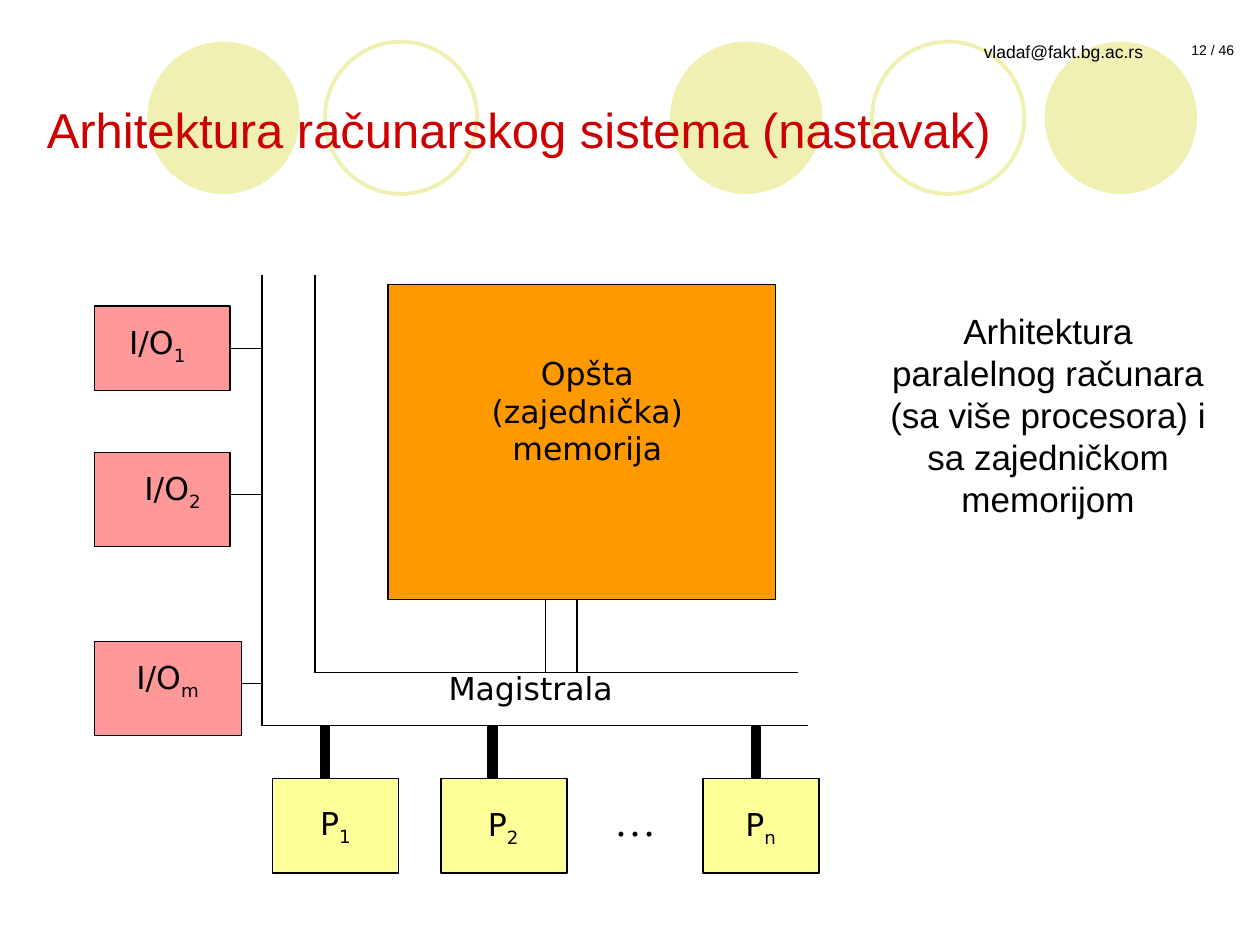
from lxml.etree import SubElement
from pptx import Presentation
from pptx.dml.color import RGBColor
from pptx.enum.shapes import MSO_CONNECTOR as Link, MSO_SHAPE as Preset
from pptx.enum.text import MSO_ANCHOR as Anchor, MSO_AUTO_SIZE as Fit, PP_ALIGN as Align
from pptx.oxml.ns import qn
from pptx.util import Cm, Pt

COLORS = {"text": "000000", "title": "CC0000", "circle": "EFF0B2",
          "memory": "FF9900", "processor": "FFFF99", "device": "FF9999"}

TITLE = "Arhitektura računarskog sistema (nastavak)"
TITLE_AREA = (0.69, 1.32, 24.71, 2.54)
CIRCLES = [(13.51, True), (21.06, True), (2.97, True), (17.58, False), (6.55, False)]
CIRCLE_TOP, CIRCLE_SIZE = 0.84, 3.07

MEMORY = (7.82, 5.74, 7.82, 6.35)
MEMORY_LEGS = [11, 11.63]
BUS_TOP = 5.54
BUS_RAILS = [(6.35, 13.56, 16.08), (5.28, 14.63, 16.28)]

DEVICE_LEFT, WIRE_DROP, LABEL_DROP, LABEL_HEIGHT = 1.9, 0.85, 0.22, 1.02
DEVICES = [
    {"sub": "1", "top": 6.17, "size": (2.74, 1.7), "label": (1.9, 2.54)},
    {"sub": "2", "top": 9.12, "size": (2.74, 1.9), "label": (2.11, 2.74)},
    {"sub": "m", "top": 12.93, "size": (2.97, 1.9), "label": (2.11, 2.54)},
]
PROCESSOR_TOP, PROCESSOR_HEIGHT = 15.7, 1.9
PROCESSORS = [
    {"sub": "1", "left": 5.49, "width": 2.54, "stub": 6.55, "label": None},
    {"sub": "2", "left": 8.89, "width": 2.54, "stub": 9.93, "label": (9.09, 2.11)},
    {"sub": "n", "left": 14.17, "width": 2.34, "stub": 15.24, "label": (14.6, 1.47)},
]

DIAGRAM_FONT = {"name": "DejaVu Sans", "size": Pt(18)}
NOTES = [
    ("vladaf@fakt.bg.ac.rs", (17.09, 0.71, 6.2, 1.27), {"name": "Arial", "size": Pt(10)}, Align.RIGHT),
    ("12 / 46", (23.5, 0.71, 1.9, 0.61), {"name": "Arial", "size": Pt(8)}, Align.CENTER),
    ("…", (12.07, 15.9, 1.47, 1.27), {"name": "Times New Roman", "size": Pt(24)}, Align.CENTER),
    ("Opšta (zajednička) memorija", (9.3, 7.01, 5.08, 2.54), DIAGRAM_FONT, Align.CENTER),
    ("Magistrala", (6.99, 13.36, 7.42, 1.02), DIAGRAM_FONT, Align.CENTER),
    ("Arhitektura paralelnog računara (sa više procesora) i sa zajedničkom memorijom",
     (17.5, 6.12, 7.26, 4.52), {"name": "Arial", "size": Pt(20)}, Align.CENTER),
]


def color(name):
    """Return the named colour."""
    return RGBColor.from_string(COLORS[name])


def apply(target, formats):
    """Set every attribute given in the dict."""
    for name, value in formats.items():
        setattr(target, name, value)


def area(values):
    """Turn centimetre values into lengths."""
    return [Cm(value) for value in values]


def write(frame, text, font, align, ink="text", sub=""):
    """Fill a text frame with one paragraph and an optional subscript."""
    para = frame.paragraphs[0]
    para.alignment = align
    for part in filter(None, (text, sub)):
        span = para.add_run()
        span.text = part
        apply(span.font, font)
        span.font.color.rgb = color(ink)
    if sub:
        span.font._element.set("baseline", "-25000")


def add_text(page, text, place, font, align, sub=""):
    """Add a wrapping text box."""
    box = page.shapes.add_textbox(*area(place))
    box.text_frame.word_wrap = True
    write(box.text_frame, text, font, align, sub=sub)


def add_box(page, place, fill, line="text", weight=0.75, preset=Preset.RECTANGLE):
    """Add a shape with the given fill and line, either of which may be None."""
    box = page.shapes.add_shape(preset, *area(place))
    box.shadow.inherit = False
    for paint, name in ((box.fill, fill), (box.line.fill, line)):
        if name:
            paint.solid()
            paint.fore_color.rgb = color(name)
        else:
            paint.background()
    if line:
        box.line.width = Pt(weight)
    return box


def add_line(page, start, end, weight=0.75):
    """Add a straight black line."""
    wire = page.shapes.add_connector(Link.STRAIGHT, *area(start + end))
    wire.line.color.rgb = color("text")
    wire.line.width = Pt(weight)
    SubElement(wire._element.spPr, qn("a:effectLst"))
    return wire


def add_devices(page):
    """Draw the input and output devices with their wires to the bus."""
    bus_left = BUS_RAILS[1][0]
    for device in DEVICES:
        top, (width, height) = device["top"], device["size"]
        box = add_box(page, (DEVICE_LEFT, top, width, height), "device")
        left, label_width = device["label"]
        add_text(page, "I/O", (left, top + LABEL_DROP, label_width, LABEL_HEIGHT),
                 DIAGRAM_FONT, Align.CENTER, device["sub"])
        level = top + WIRE_DROP
        wire = add_line(page, (DEVICE_LEFT + width, level), (bus_left, level))
        if WIRE_DROP == height / 2:
            wire.begin_connect(box, 3)


def add_processors(page):
    """Draw the processors with their thick links to the bus."""
    bus_bottom = BUS_RAILS[1][1]
    for cpu in PROCESSORS:
        place = (cpu["left"], PROCESSOR_TOP, cpu["width"], PROCESSOR_HEIGHT)
        box = add_box(page, place, "processor")
        if cpu["label"]:
            left, width = cpu["label"]
            add_text(page, "P", (left, PROCESSOR_TOP + 0.4, width, LABEL_HEIGHT),
                     DIAGRAM_FONT, Align.CENTER, cpu["sub"])
        else:
            apply(box.text_frame, {"word_wrap": False, "vertical_anchor": Anchor.MIDDLE})
            write(box.text_frame, "P", DIAGRAM_FONT, Align.CENTER, sub=cpu["sub"])
        add_line(page, (cpu["stub"], bus_bottom), (cpu["stub"], PROCESSOR_TOP), 6)


def add_bus(page):
    """Draw the shared memory, the bus rails and the legs between them."""
    add_box(page, MEMORY, "memory")
    for left, bottom, right in BUS_RAILS:
        add_line(page, (left, BUS_TOP), (left, bottom))
        add_line(page, (left, bottom), (right, bottom))
    for leg in MEMORY_LEGS:
        add_line(page, (leg, MEMORY[1] + MEMORY[3]), (leg, BUS_RAILS[0][1]))


def add_title(page):
    """Place and format the title above the circles."""
    title = page.shapes.title
    apply(title, dict(zip(("left", "top", "width", "height"), area(TITLE_AREA))))
    apply(title.text_frame, {"vertical_anchor": Anchor.MIDDLE, "word_wrap": True,
                             "auto_size": Fit.NONE})
    write(title.text_frame, TITLE, {"name": "Arial", "size": Pt(28)}, Align.LEFT, "title")
    page.shapes._spTree.append(title._element)


def main():
    """Build the slide and save the deck."""
    deck = Presentation()
    apply(deck, {"slide_width": Cm(25.4), "slide_height": Cm(19.05)})
    page = deck.slides.add_slide(deck.slide_layouts[5])
    for left, filled in CIRCLES:
        place = (left, CIRCLE_TOP, CIRCLE_SIZE, CIRCLE_SIZE)
        fill, line = ("circle", None) if filled else (None, "circle")
        add_box(page, place, fill, line, 2.25, Preset.OVAL)
    add_bus(page)
    add_devices(page)
    add_processors(page)
    for text, place, font, align in NOTES:
        add_text(page, text, place, font, align)
    add_title(page)
    deck.save("out.pptx")


if __name__ == "__main__":
    main()
